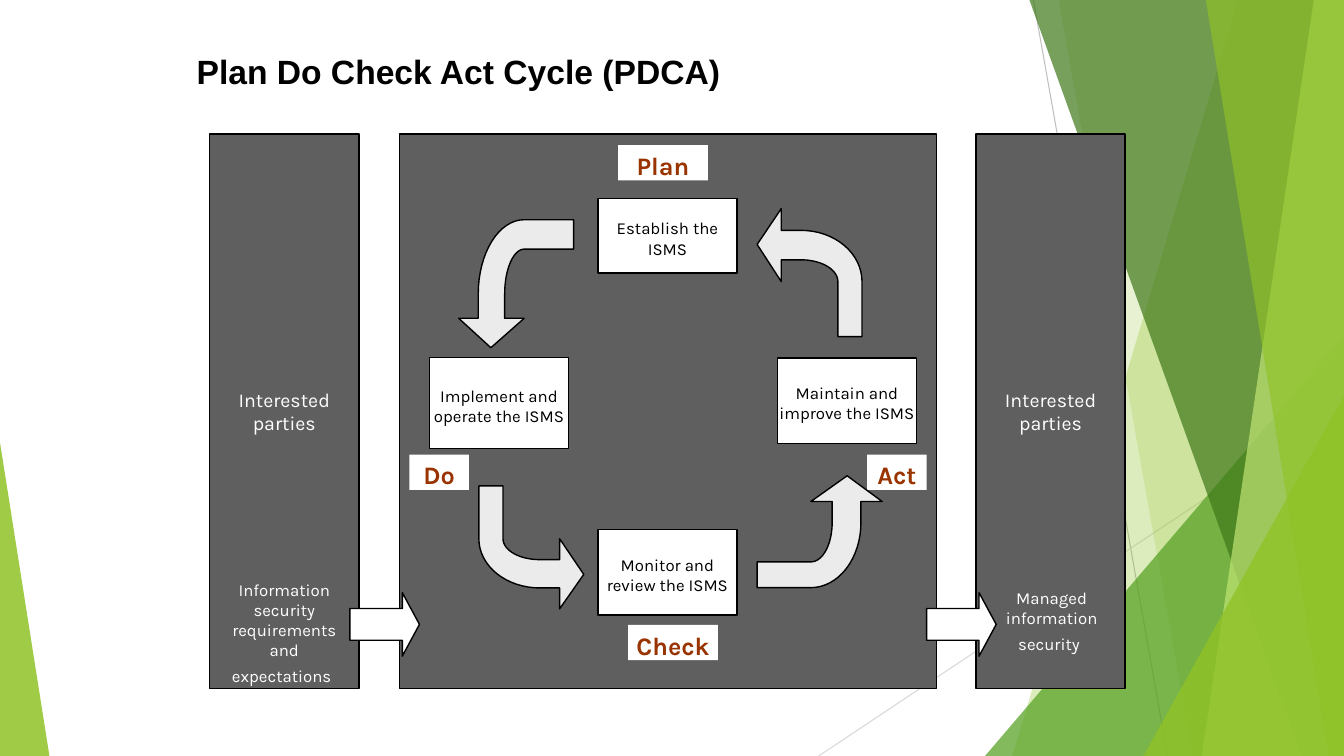
import math
import pptx
import pptx.util
import pptx.dml.color
import pptx.enum.shapes
import pptx.enum.text
import lxml.etree

Inches, Pt = pptx.util.Inches, pptx.util.Pt
Kind = pptx.enum.shapes.MSO_SHAPE
Anchor = pptx.enum.text.MSO_ANCHOR
Align = pptx.enum.text.PP_ALIGN

TITLE = "Plan Do Check Act Cycle (PDCA)"
GREY, WHITE, BLACK, RUST, PALE = "5F5F5F", "FFFFFF", "000000", "993300", "EBEBEB"
LIME, LEAF, MOSS, MINT = "90C226", "54A021", "3F7819", "C0E474"

RAYS = [((10.25, 0), (11.58, 7.5), "BFBFBF"), ((13.33, 4.03), (8.12, 7.5), "D9D9D9")]
# Green bands: top x, bottom x, colour, opacity; all reach the right edge
# Green corners: box, apex position, colour, opacity
BACK = [
    ("band", (12.28, 10.04), LIME, 30),
    ("band", (10.5, 11.83), LIME, 20),
    ("corner", (9.77, 3.33, 3.56, 4.17, 1), LEAF, 72),
    ("band", (10.21, 12.91), MOSS, 70),
    ("band", (13.03, 11.92), MINT, 70),
    ("band", (11.96, 13.18), LIME, 65),
    ("corner", (11.34, 3.93, 1.99, 3.57, 1), LIME, 80),
    ("corner", (0, 4.39, 0.49, 3.11, 0), LIME, 85),
]
PANELS = [(3.96, 5.33, ""), (2.08, 1.48, "Interested parties"),
          (9.68, 1.48, "Interested parties")]
STEPS = [
    (5.93, 1.97, 0.74, "Establish the ISMS"),
    (4.26, 3.55, 0.9, "Implement and operate the ISMS"),
    (7.71, 3.55, 0.85, "Maintain and improve the ISMS"),
    (5.93, 5.25, 0.85, "Monitor and review the ISMS"),
]
TAGS = [(6.13, 1.44, 0.89, "Plan"), (4.06, 4.51, 0.59, "Do"),
        (8.6, 4.51, 0.59, "Act"), (6.23, 6.2, 0.89, "Check")]
# Each bend is a quarter turn on from the one before
BENDS = [(7.51, 2.07, 1.04, 1.27), (4.55, 2.18, 1.14, 1.27),
         (4.75, 4.82, 1.04, 1.22), (7.51, 4.72, 1.24, 1.11)]
FLOWS = [3.47, 9.19]
NOTES = [(2.08, 5.7, 0.97, "Information security requirements and expectations"),
         (9.69, 5.78, 0.77, "Managed information security")]


def rgb(code):
    return pptx.dml.color.RGBColor.from_string(code)


def paint(shape, fill, edge=None, alpha=None):
    shape.shadow.inherit = False
    shape.fill.solid()
    shape.fill.fore_color.rgb = rgb(fill)
    if alpha:
        tint = shape.fill._xPr.find(".//" + pptx.oxml.ns.qn("a:srgbClr"))
        lxml.etree.SubElement(tint, pptx.oxml.ns.qn("a:alpha"), val=str(alpha * 1000))
    if edge:
        shape.line.color.rgb = rgb(edge)
        shape.line.width = Pt(1)
    else:
        shape.line.fill.background()
    return shape


def box(kind, at, fill, edge=None, alpha=None):
    return paint(shapes.add_shape(kind, *map(Inches, at)), fill, edge, alpha)


def poly(points, fill, edge=None, alpha=None):
    spots = [(Inches(x), Inches(y)) for x, y in points]
    build = shapes.build_freeform(*spots[0])
    build.add_line_segments(spots[1:], close=True)
    return paint(build.convert_to_shape(), fill, edge, alpha)


def write(shape, runs, color, font="Karla", bold=False, anchor=Anchor.MIDDLE,
          align=Align.CENTER, inset=(0.1, 0.05, 0.1, 0.05)):
    """Fill a shape with one paragraph; runs are (text, size) pairs."""
    frame = shape.text_frame
    frame.word_wrap = True
    frame.auto_size = pptx.enum.text.MSO_AUTO_SIZE.NONE
    frame.vertical_anchor = anchor
    (frame.margin_left, frame.margin_top,
     frame.margin_right, frame.margin_bottom) = map(Inches, inset)
    para = frame.paragraphs[0]
    para.alignment = align
    for text, size in runs:
        run = para.add_run()
        run.text = text
        run.font.size = Pt(size)
        run.font.name = font
        run.font.bold = bold
        run.font.color.rgb = rgb(color)


def arc(rx, ry, start, end, steps=16):
    """Points on an ellipse round the inside of the bend, in unit space."""
    turns = [math.radians(start + (end - start) * i / steps) for i in range(steps + 1)]
    return [(0.42 + rx * math.cos(t), 0.57 - ry * math.sin(t)) for t in turns]


def bend(at, turns):
    left, top, wide, high = at
    points = [(0, 0.28), (0.23, 0), (0.23, 0.17), *arc(0.58, 0.4, 90, 0),
              (1, 1), (0.77, 1), *arc(0.35, 0.17, 0, 90), (0.23, 0.4), (0.23, 0.57)]
    for _ in range(turns):
        points = [(y, 1 - x) for x, y in points]
    poly([(left + x * wide, top + y * high) for x, y in points], PALE, BLACK)


deck = pptx.Presentation()
deck.slide_width, deck.slide_height = Inches(13.33), Inches(7.5)
slide = deck.slides.add_slide(deck.slide_layouts[5])
shapes = slide.shapes

for start, end, color in RAYS:
    ray = shapes.add_connector(pptx.enum.shapes.MSO_CONNECTOR.STRAIGHT,
                               *map(Inches, start + end))
    ray.line.color.rgb = rgb(color)
    ray.line.width = Pt(0.75)
    lxml.etree.SubElement(ray._element.spPr, pptx.oxml.ns.qn("a:effectLst"))

for form, place, color, alpha in BACK:
    if form == "band":
        high, low = place
        poly([(high, 0), (13.33, 0), (13.33, 7.5), (low, 7.5)], color, alpha=alpha)
    else:
        corner = box(Kind.ISOSCELES_TRIANGLE, place[:4], color, alpha=alpha)
        corner.adjustments[0] = place[4]

title = shapes.title
title.left, title.top, title.width, title.height = map(Inches, (1.92, 0.43, 8.55, 0.67))
write(title, [(TITLE, 24)], BLACK, "Arial", True, Anchor.TOP, Align.LEFT,
      (0.03, 0.07, 0.03, 0.07))

for left, wide, text in PANELS:
    panel = box(Kind.RECTANGLE, (left, 1.33, wide, 5.5), GREY, BLACK)
    if text:
        write(panel, [(text, 14)], WHITE)

for left, top, high, text in STEPS:
    step = box(Kind.RECTANGLE, (left, top, 1.38, high), WHITE, BLACK)
    write(step, [(text, 12)], BLACK, inset=(0, 0.05, 0, 0))

for left, top, wide, text in TAGS:
    tag = box(Kind.RECTANGLE, (left, top, wide, 0.35), WHITE)
    write(tag, [(text, 18)], RUST, bold=True, anchor=Anchor.TOP, inset=(0, 0.05, 0, 0))

for turns, at in enumerate(BENDS):
    bend(at, turns)

for left in FLOWS:
    flow = box(Kind.RIGHT_ARROW, (left, 5.88, 0.69, 0.63), WHITE, BLACK)
    flow.adjustments[0], flow.adjustments[1] = 0.5, 0.27

for left, top, high, text in NOTES:
    note = shapes.add_textbox(*map(Inches, (left, top, 1.48, high)))
    write(note, [(text, 12), (" ", 16)], WHITE, anchor=Anchor.TOP)

deck.save("out.pptx")
